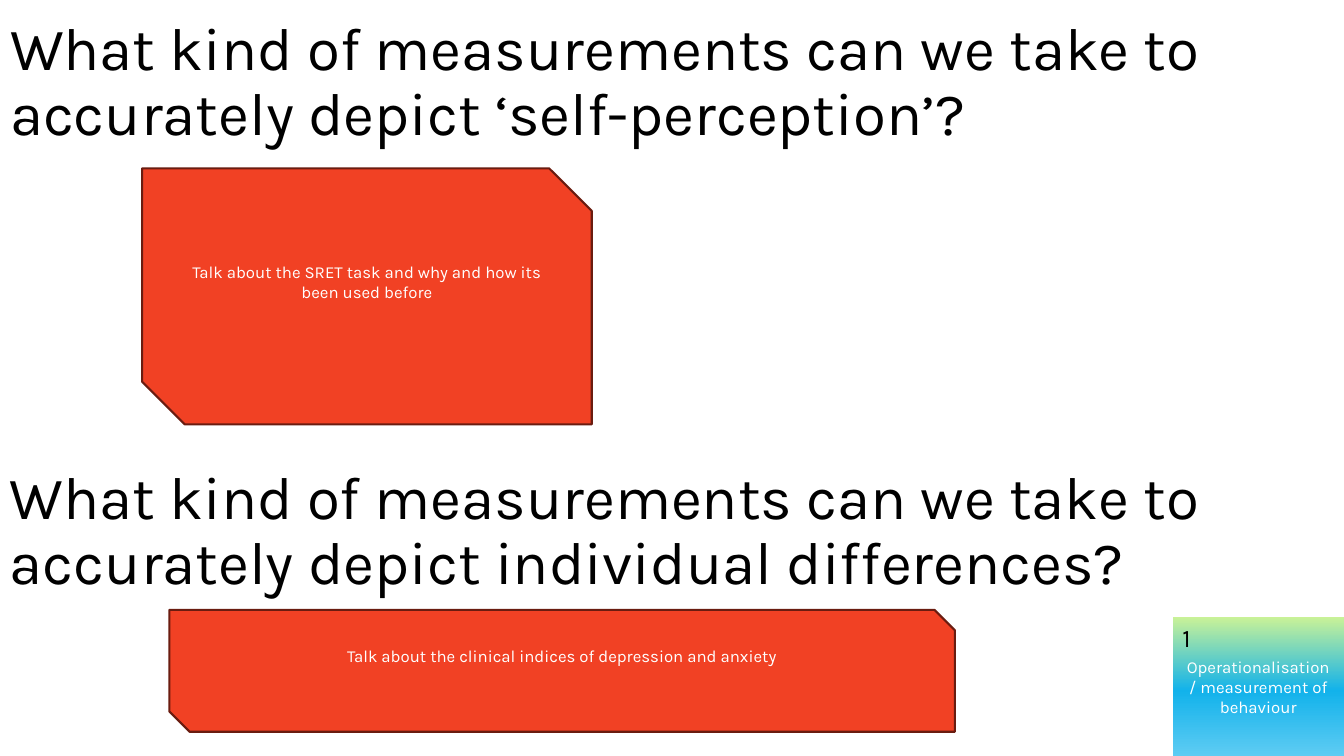
from copy import deepcopy

from pptx import Presentation
from pptx.dml.color import RGBColor
from pptx.enum.shapes import MSO_SHAPE
from pptx.enum.text import MSO_ANCHOR, MSO_AUTO_SIZE, PP_ALIGN
from pptx.oxml.ns import qn
from pptx.util import Inches, Pt

SNIP, RECT = MSO_SHAPE.SNIP_2_DIAG_RECTANGLE, MSO_SHAPE.RECTANGLE
LEFT, MID = PP_ALIGN.LEFT, PP_ALIGN.CENTER
TOP, CENTER = MSO_ANCHOR.TOP, MSO_ANCHOR.MIDDLE
FIXED, GROW = MSO_AUTO_SIZE.NONE, MSO_AUTO_SIZE.SHAPE_TO_FIT_TEXT

# Content: question, its top, its note and the note's box
PARTS = [
    ("What kind of measurements can we take to accurately depict ‘self-perception’?", -0.48,
     "Talk about the SRET task and why and how its been used before", (1.41, 1.67, 4.46, 2.54)),
    ("What kind of measurements can we take to accurately depict individual differences?", 3.98,
     "Talk about the clinical indices of depression and anxiety", (1.68, 6.05, 7.79, 1.21)),
]
TOPIC = "Operationalisation / measurement of behaviour"
NUMBER = "1"

THEME = {
    "font": "Karla", "ink": "000000", "pale": "FFFFFF", "note": "F14124", "edge": "6A1C10",
    "fade": [(0, "5ECCF3"), (0.47, "12B2EB"), (1, "CAF297")],
    "head": 42.9, "body": 12, "label": 18,
}
WIDE, HIGH = 13.33, 7.5
TILE_W, TILE_H = 1.7, 1.38


def color(name):
    return RGBColor.from_string(THEME.get(name, name))


def write(shape, text, size="body", ink="pale", align=MID, anchor=CENTER,
          space=None, wrap=True, fit=FIXED, foot=0.05):
    frame = shape.text_frame
    frame.word_wrap = wrap
    frame.auto_size = fit
    frame.vertical_anchor = anchor
    frame.margin_bottom = Inches(foot)
    para = frame.paragraphs[0]
    para.alignment = align
    if space:
        para.line_spacing = space
    run = para.add_run()
    run.text = text
    run.font.name = THEME["font"]
    run.font.size = Pt(THEME[size])
    run.font.color.rgb = color(ink)


def add_box(kind, box):
    shape = slide.shapes.add_shape(kind, *map(Inches, box))
    shape.shadow.inherit = False
    return shape


def fade(shape, stops):
    shape.fill.gradient()
    shape.fill.gradient_angle = 90
    group = shape.element.spPr.find(qn("a:gradFill")).find(qn("a:gsLst"))
    group.append(deepcopy(group[-1]))
    for stop, (pos, tint) in zip(shape.fill.gradient_stops, stops):
        stop.position = pos
        stop.color.rgb = color(tint)


deck = Presentation()
deck.slide_width, deck.slide_height = Inches(WIDE), Inches(HIGH)
slide = deck.slides.add_slide(deck.slide_layouts[5])

# Questions, each with its note
for i, (ask, top, note, box) in enumerate(PARTS):
    place = [Inches(n) for n in (0, top, 14.19, 2.61)]
    if i == 0:
        head = slide.shapes.title
        head.left, head.top, head.width, head.height = place
    else:
        head = slide.shapes.add_textbox(*place)
    write(head, ask, size="head", ink="ink", align=LEFT, space=0.9)

    card = add_box(SNIP, box)
    card.fill.solid()
    card.fill.fore_color.rgb = color("note")
    card.line.color.rgb = color("edge")
    card.line.width = Pt(1.5)
    write(card, note, foot=0.34)

# Topic tile in the bottom right corner
x, y = WIDE - TILE_W, HIGH - TILE_H
tile = add_box(RECT, (x, y, TILE_W, TILE_H))
fade(tile, THEME["fade"])
tile.line.fill.background()
write(tile, TOPIC)
mark = slide.shapes.add_textbox(Inches(x), Inches(y), Inches(0.34), Inches(0.4))
write(mark, NUMBER, size="label", ink="ink", align=LEFT, anchor=TOP, wrap=False, fit=GROW)

deck.save("out.pptx")
